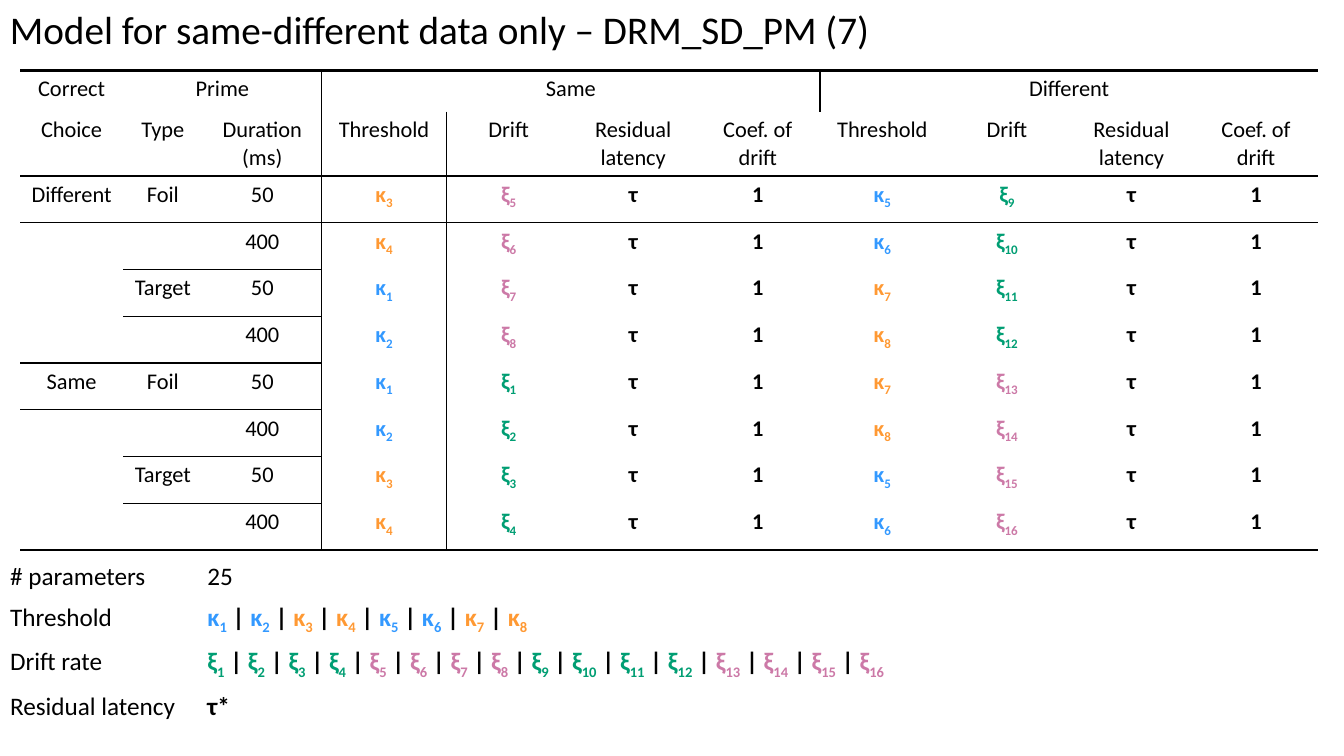
from pptx import Presentation
from pptx.util import Pt
from pptx.dml.color import RGBColor as RGB
from pptx.enum.text import PP_ALIGN as Align, MSO_AUTO_SIZE as Auto
from pptx.oxml import parse_xml as parse
from pptx.oxml.ns import qn, nsdecls

BLACK, WHITE = "000000", "FFFFFF"
HUES = {"κ": (2, "3399FF", "FF9933"), "ξ": (4, "009E73", "CC79A7")}


def write(frame, text, size=16, bold=False, align=Align.LEFT):
    for i, line in enumerate(text.split("\n")):
        para = frame.add_paragraph() if i else frame.paragraphs[0]
        para.alignment = align
        for j, part in enumerate(line.split(" | ")):
            bits = [(" | ", BLACK, 0)] if j else []
            if part[:1] in HUES:
                group, first, second = HUES[part[0]]
                hue = second if (int(part[1:]) - 1) // group % 2 else first
                bits += [(part[0], hue, 0), (part[1:], hue, -25000)]
            else:
                bits.append((part, BLACK, 0))
            for word, hue, base in bits:
                run = para.add_run()
                run.text = word
                font = run.font
                font.name, font.size, font.bold = "Calibri", Pt(size), bold
                font.color.rgb = RGB.from_string(hue)
                if base:
                    font._element.set("baseline", str(base))


def grid(left, top, cols, rows):
    shape = slide.shapes.add_table(
        len(rows), len(cols), Pt(left), Pt(top), Pt(sum(cols)), Pt(sum(rows)))
    style = shape._element.find(".//" + qn("a:tableStyleId"))
    style.text = "{2D5ABB26-0587-4C30-8999-92F81FD0307C}"
    table = shape.table
    table.first_row = table.horz_banding = False
    for col, width in zip(table.columns, cols):
        col.width = Pt(width)
    for row, height in zip(table.rows, rows):
        row.height = Pt(height)
    return table


deck = Presentation()
deck.slide_width, deck.slide_height = Pt(960), Pt(540)
slide = deck.slides.add_slide(deck.slide_layouts[6])

title = slide.shapes.add_textbox(0, 0, Pt(633), Pt(41)).text_frame
title.word_wrap = False
title.auto_size = Auto.SHAPE_TO_FIT_TEXT
write(title, "Model for same-different data only – DRM_SD_PM (7)", 28)

heads = ["Threshold", "Drift", "Residual latency", "Coef. of\ndrift"]
data = [
    ["Correct", "Prime", "", "Same", "", "", "", "Different", "", "", ""],
    ["Choice", "Type", "Duration (ms)"] + heads * 2,
]
same = zip([3, 4, 1, 2, 1, 2, 3, 4], [5, 6, 7, 8, 1, 2, 3, 4])
diff = zip([5, 6, 7, 8, 7, 8, 5, 6], range(9, 17))
for i, (left, right) in enumerate(zip(same, diff)):
    row = [("Different", "Same")[i // 4] if i % 4 == 0 else "",
           ("Foil", "Target")[i // 2 % 2] if i % 2 == 0 else "",
           ("50", "400")[i % 2]]
    for kappa, xi in (left, right):
        row += [f"κ{kappa}", f"ξ{xi}", "τ", "1"]
    data.append(row)

model = grid(14.4, 50.4, [73.5, 57, 85] + [89] * 8, [29.3, 46] + [33.4] * 8)
for start, end in ((1, 2), (3, 6), (7, 10)):
    model.cell(0, start).merge(model.cell(0, end))

rules = {r: range(11) for r in (0, 2, 10)}
rules[6] = range(3)
rules.update({r: range(1, 3) for r in (4, 8)})
rules.update({r: range(2, 3) for r in (3, 5, 7, 9)})

for r, row in enumerate(data):
    for c, text in enumerate(row):
        cell = model.cell(r, c)
        if text:
            write(cell.text_frame, text, bold=r > 1 and c > 2, align=Align.CENTER)
        edges = {"L": c == 3, "R": c == 2 or (r, c) == (0, 1),
                 "T": c in rules.get(r, ()), "B": c in rules.get(r + 1, ())}
        props = cell._tc.get_or_add_tcPr()
        for side, shown in edges.items():
            if shown:
                width = Pt(2.25 if side == "T" and r == 0 else 1)
                props.append(parse(
                    f'<a:ln{side} {nsdecls("a")} w="{width}"><a:solidFill>'
                    f'<a:srgbClr val="{BLACK}"/></a:solidFill></a:ln{side}>'))
        cell.fill.background()

notes = [
    ("# parameters", "25"),
    ("Threshold", " | ".join(f"κ{n}" for n in range(1, 9))),
    ("Drift rate", " | ".join(f"ξ{n}" for n in range(1, 17))),
    ("Residual latency", "τ*"),
    ("", ""),
]
counts = grid(0, 397.5, [141, 811], [29, 32, 32, 29, 20])
for r, row in enumerate(notes):
    for c, text in enumerate(row):
        cell = counts.cell(r, c)
        cell.fill.solid()
        cell.fill.fore_color.rgb = RGB.from_string(WHITE)
        if text:
            write(cell.text_frame, text, 18, bold=c == 1 and r > 0)
        else:
            cell.text_frame.paragraphs[0].font.size = Pt(8)

deck.save("out.pptx")
